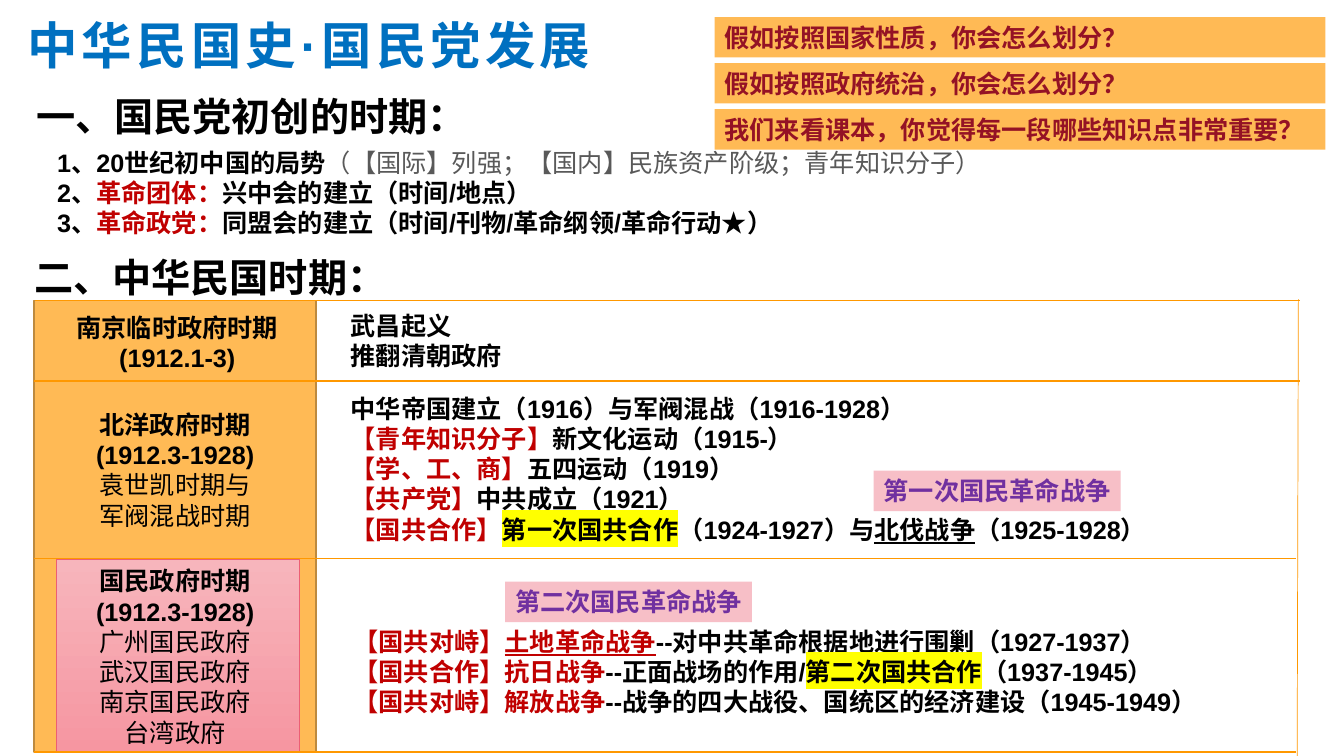
from dataclasses import dataclass, replace

from lxml import etree
from pptx import Presentation
from pptx import util as u
from pptx.dml.color import RGBColor
from pptx.enum import shapes, text
from pptx.oxml import ns


@dataclass(frozen=True)
class Theme:
    font: str = "Arial"
    symbol_font: str = "Noto Sans CJK SC"
    title_size: int = 36
    heading_size: int = 28
    body_size: int = 18
    title: str = "0070C0"
    black: str = "000000"
    grey: str = "595959"
    red: str = "C00000"
    question: str = "941225"
    purple: str = "7030A0"
    yellow: str = "FFFF00"
    orange: str = "FFBA55"
    orange_edge: str = "BD8A3F"
    rule: str = "FF9800"
    tag: str = "F7BFC7"
    pink_top: str = "F7B5BC"
    pink_bottom: str = "F696A1"
    pink_edge: str = "EC5F74"


THEME = Theme()


@dataclass(frozen=True)
class Span:
    words: str
    color: str = THEME.black
    size: int = THEME.body_size
    bold: bool = True
    underline: bool = False
    highlight: str = ""
    font: str = THEME.font
    spacing: int = 0


@dataclass(frozen=True)
class Area:
    left: float
    top: float
    width: float
    height: float

    def lengths(self) -> list:
        return [u.Cm(value) for value in (self.left, self.top, self.width, self.height)]


@dataclass(frozen=True)
class Block:
    area: Area
    lines: list
    centred: bool = False
    anchor: text.MSO_ANCHOR = text.MSO_ANCHOR.TOP
    fill: str = ""
    grow: bool = True


@dataclass(frozen=True)
class Rule:
    left: float
    top: float
    right: float
    bottom: float
    weight: float = 1


def red(words: str, underline: bool = False) -> Span:
    return Span(words, THEME.red, underline=underline)


def plain(words: str) -> Span:
    return Span(words, bold=False)


def marked(words: str) -> Span:
    return Span(words, highlight=THEME.yellow)


def heading(left: float, top: float, words: str) -> Block:
    return Block(Area(left, top, 13.51, 1.45), [[Span(words, size=THEME.heading_size)]])


def label(left: float, top: float, width: float, words: str, color: str, fill: str) -> Block:
    return Block(Area(left, top, width, 1.02), [[Span(words, color)]], fill=fill)


QUESTIONS = [
    "假如按照国家性质，你会怎么划分？",
    "假如按照政府统治，你会怎么划分？",
    "我们来看课本，你觉得每一段哪些知识点非常重要？",
]

INTRODUCTION = [
    Block(Area(0.05, 0, 21.06, 2.01),
          [[Span(" 中华民国史·国民党发展", THEME.title, THEME.title_size, spacing=300)]],
          anchor=text.MSO_ANCHOR.BOTTOM, grow=False),
    *[label(18.01, 0.43 + 1.16 * row, 15.39, words, THEME.question, THEME.orange)
      for row, words in enumerate(QUESTIONS)],
    heading(0.66, 2.21, "一、国民党初创的时期："),
    Block(Area(1.19, 3.58, 32.66, 2.57), [
        [Span("1、20世纪初中国的局势"),
         replace(plain("（【国际】列强；【国内】民族资产阶级；青年知识分子）"), color=THEME.grey)],
        [Span("2、"), red("革命团体："), Span("兴中会的建立（时间/地点）")],
        [Span("3、"), red("革命政党："), Span("同盟会的建立（时间/刊物/革命纲领/革命行动"),
         Span("★", font=THEME.symbol_font), Span("）")],
    ]),
    heading(0.61, 6.25, "二、中华民国时期："),
]

PERIODS = [
    Block(Area(1.22, 7.75, 6.5, 1.8),
          [[Span("南京临时政府时期")], [Span("(1912.1-3)")]], centred=True),
    Block(Area(0.86, 10.19, 7.11, 3.33),
          [[Span("北洋政府时期")], [Span("(1912.3-1928)")],
           [plain("袁世凯时期与")], [plain("军阀混战时期")]], centred=True),
    Block(Area(0.86, 14.1, 7.11, 4.88),
          [[Span("国民政府时期")], [Span("(1912.3-1928)")],
           [plain("广州国民政府")], [plain("武汉国民政府")],
           [plain("南京国民政府")], [plain("台湾政府")]],
          centred=True, anchor=text.MSO_ANCHOR.MIDDLE),
]

EVENTS = [
    Block(Area(8.59, 7.7, 14.5, 1.8), [[Span("武昌起义")], [Span("推翻清朝政府")]]),
    Block(Area(8.59, 9.78, 23.55, 4.09), [
        [Span("中华帝国建立（1916）与军阀混战（1916-1928）")],
        [red("【青年知识分子】"), Span("新文化运动（1915-）")],
        [red("【学、工、商】"), Span("五四运动（1919）")],
        [red("【共产党】"), Span("中共成立（1921）")],
        [red("【国共合作】"), marked("第一次国共合作"), Span("（1924-1927）与"),
         Span("北伐战争", underline=True), Span("（1925-1928）")],
    ]),
    Block(Area(8.66, 15.65, 21.97, 2.57), [
        [red("【国共对峙】"), red("土地革命战争", underline=True),
         Span("--对中共革命根据地进行围剿（1927-1937）")],
        [red("【国共合作】抗日战争"), Span("--正面战场的作用/"),
         marked("第二次国共合作"), Span("（1937-1945）")],
        [red("【国共对峙】解放战争"),
         Span("--战争的四大战役、国统区的经济建设（1945-1949）")],
    ]),
    label(22.02, 11.86, 6.22, "第一次国民革命战争", THEME.purple, THEME.tag),
    label(12.73, 14.66, 6.22, "第二次国民革命战争", THEME.purple, THEME.tag),
]

RULES = [
    Rule(0.89, 7.57, 32.77, 7.57),
    Rule(0.86, 9.6, 32.77, 9.6),
    Rule(0.86, 14.07, 32.66, 14.07),
    Rule(0.86, 18.95, 32.66, 18.95),
    Rule(32.72, 7.54, 32.69, 19.08, 0.5),
]


def rgb(color: str) -> RGBColor:
    return RGBColor.from_string(color)


def add_span(para, span: Span) -> None:
    run = para.add_run()
    run.text = span.words
    font = run.font
    font.size, font.bold, font.underline = u.Pt(span.size), span.bold, span.underline
    font.name = span.font
    font.color.rgb = rgb(span.color)
    properties = run._r.get_or_add_rPr()
    if span.spacing:
        properties.set("spc", str(span.spacing))
    if span.highlight:
        highlight = etree.Element(ns.qn("a:highlight"))
        etree.SubElement(highlight, ns.qn("a:srgbClr"), val=span.highlight)
        properties.find(ns.qn("a:solidFill")).addnext(highlight)


def add_panel(page, area: Area):
    panel = page.shapes.add_shape(shapes.MSO_SHAPE.RECTANGLE, *area.lengths())
    panel.shadow.inherit = False
    return panel


def add_block(page, block: Block) -> None:
    if block.fill:
        box = add_panel(page, block.area)
        box.fill.solid()
        box.fill.fore_color.rgb = rgb(block.fill)
        box.line.fill.background()
    else:
        box = page.shapes.add_textbox(*block.area.lengths())
    frame = box.text_frame
    frame.word_wrap = True
    frame.vertical_anchor = block.anchor
    frame.auto_size = (text.MSO_AUTO_SIZE.SHAPE_TO_FIT_TEXT if block.grow
                       else text.MSO_AUTO_SIZE.NONE)
    for index, spans in enumerate(block.lines):
        para = frame.add_paragraph() if index else frame.paragraphs[0]
        para.alignment = text.PP_ALIGN.CENTER if block.centred else text.PP_ALIGN.LEFT
        for span in spans:
            add_span(para, span)


def add_rule(page, rule: Rule) -> None:
    ends = [u.Cm(value) for value in (rule.left, rule.top, rule.right, rule.bottom)]
    line = page.shapes.add_connector(shapes.MSO_CONNECTOR.STRAIGHT, *ends)
    line.line.color.rgb = rgb(THEME.rule)
    line.line.width = u.Pt(rule.weight)
    etree.SubElement(line._element.spPr, ns.qn("a:effectLst"))


def add_period_column(page) -> None:
    column = add_panel(page, Area(0.86, 7.57, 7.11, 11.38))
    column.fill.solid()
    column.fill.fore_color.rgb = rgb(THEME.orange)
    column.line.color.rgb = rgb(THEME.orange_edge)
    column.line.width = u.Pt(1)
    national = add_panel(page, Area(1.42, 14.1, 6.12, 4.85))
    national.fill.gradient()
    national.fill.gradient_angle = 270
    for stop, color in zip(national.fill.gradient_stops, (THEME.pink_top, THEME.pink_bottom)):
        stop.color.rgb = rgb(color)
    national.line.color.rgb = rgb(THEME.pink_edge)
    national.line.width = u.Pt(0.5)


def main() -> None:
    deck = Presentation()
    deck.slide_width, deck.slide_height = u.Cm(33.87), u.Cm(19.05)
    page = deck.slides.add_slide(deck.slide_layouts[6])
    for block in INTRODUCTION:
        add_block(page, block)
    add_period_column(page)
    for rule in RULES:
        add_rule(page, rule)
    for block in PERIODS + EVENTS:
        add_block(page, block)
    deck.save("out.pptx")


if __name__ == "__main__":
    main()
